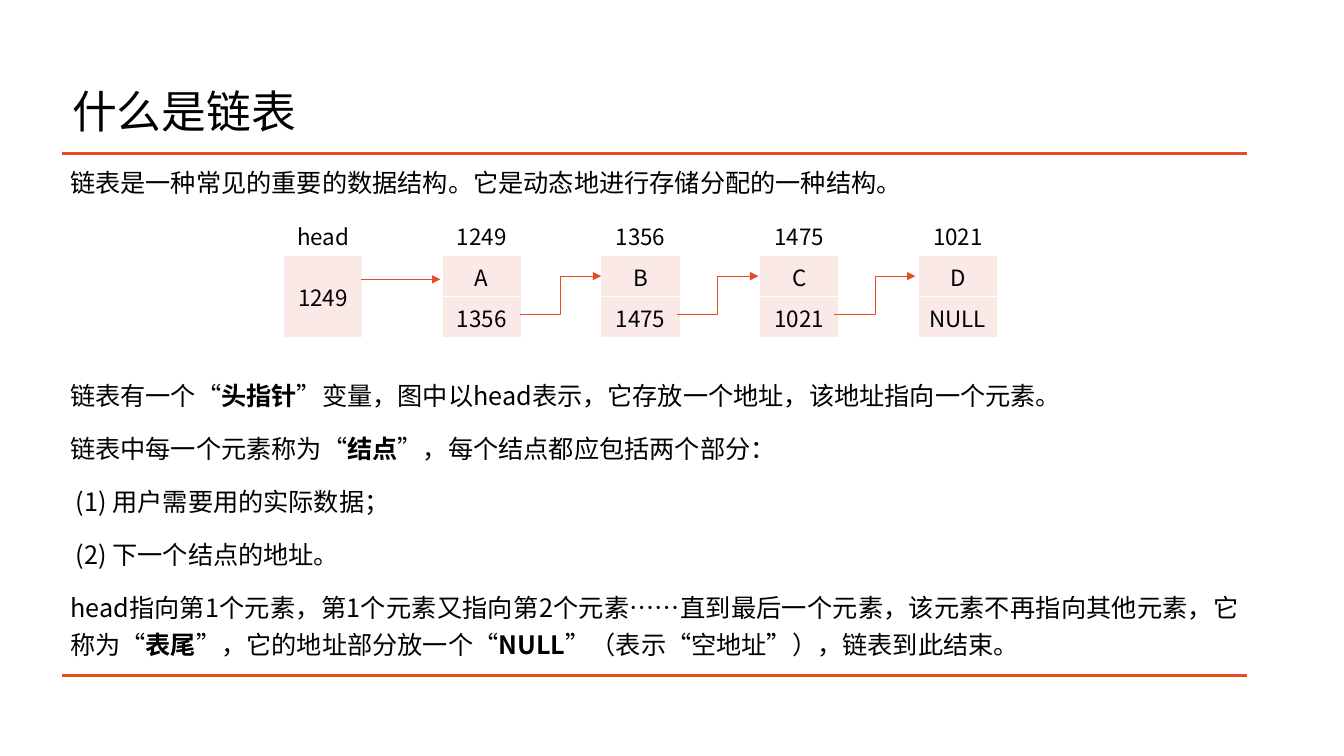
from lxml import etree
from pptx import Presentation
from pptx.dml.color import RGBColor
from pptx.enum import lang, shapes, text
from pptx.oxml import ns
from pptx.util import Cm, Pt

FONT = "Noto Sans CJK SC"
COLORS = {"text": "000000", "accent": "E84C22", "node": "FBE9E8", "background": "FFFFFF"}


def write(paragraph, content, size=18, align=text.PP_ALIGN.LEFT, line=1.0, before=0, after=0):
    """Fill a paragraph; parts between ** marks are bold."""
    paragraph.alignment = align
    paragraph.line_spacing = line
    paragraph.space_before, paragraph.space_after = Pt(before), Pt(after)
    for index, part in enumerate(content.split("**")):
        run = paragraph.add_run()
        run.text = part
        run.font.name, run.font.size = FONT, Pt(size)
        run.font.bold = index % 2 == 1
        run.font.color.rgb = RGBColor.from_string(COLORS["text"])
        run.font.language_id = lang.MSO_LANGUAGE_ID.SIMPLIFIED_CHINESE
        etree.SubElement(run.font._element, ns.qn("a:ea"), typeface=FONT)


def connect(kind, start, end, width, arrow=False):
    connector = slide.shapes.add_connector(kind, *map(Cm, start + end))
    connector.line.color.rgb = RGBColor.from_string(COLORS["accent"])
    connector.line.width = Pt(width)
    if arrow:
        etree.SubElement(connector.line._get_or_add_ln(), ns.qn("a:tailEnd"), type="triangle")
    etree.SubElement(connector._element.spPr, ns.qn("a:effectLst"))


presentation = Presentation()
presentation.slide_width, presentation.slide_height = Cm(33.87), Cm(19.05)
slide = presentation.slides.add_slide(presentation.slide_layouts[6])
slide.background.fill.solid()
slide.background.fill.fore_color.rgb = RGBColor.from_string(COLORS["background"])

# Title
title = slide.shapes.add_textbox(Cm(1.57), Cm(1.55), Cm(29.21), Cm(2.64)).text_frame
title.word_wrap = True
title.vertical_anchor = text.MSO_ANCHOR.MIDDLE
write(title.paragraphs[0], "什么是链表", size=32, line=0.9)

# Rules above and below the body
for y in (3.87, 17.03):
    connect(shapes.MSO_CONNECTOR.STRAIGHT, (1.57, y), (31.43, y), 2)

# Body: the second paragraph leaves room for the diagram, the numbered ones are indented
body = slide.shapes.add_textbox(Cm(1.57), Cm(3.87), Cm(29.86), Cm(13.16)).text_frame
body.word_wrap = True
body.margin_left = body.margin_right = body.margin_top = body.margin_bottom = Cm(0.2)
body_paragraphs = [
    ("链表是一种常见的重要的数据结构。它是动态地进行存储分配的一种结构。", 6, 0),
    ("链表有一个“**头指针**”变量，图中以head表示，它存放一个地址，该地址指向一个元素。", 120, 0),
    ("链表中每一个元素称为“**结点**”，每个结点都应包括两个部分：", 6, 0),
    ("(1) 用户需要用的实际数据；", 6, 0.14),
    ("(2) 下一个结点的地址。", 6, 0.14),
    ("head指向第1个元素，第1个元素又指向第2个元素……直到最后一个元素，该元素不再指向其他元素，"
     "它称为“**表尾**”，它的地址部分放一个“**NULL**”（表示“空地址”），链表到此结束。", 6, 0),
]
for index, (content, before, indent) in enumerate(body_paragraphs):
    paragraph = body.add_paragraph() if index else body.paragraphs[0]
    write(paragraph, content, align=text.PP_ALIGN.JUSTIFY, line=1.2, before=before, after=6)
    if indent:
        paragraph._p.get_or_add_pPr().set("marL", str(Cm(indent)))

# Linked list: one column per node, with an empty column between nodes
nodes = [("head", "1249", ""), ("1249", "A", "1356"), ("1356", "B", "1475"),
         ("1475", "C", "1021"), ("1021", "D", "NULL")]
table = slide.shapes.add_table(3, 9, Cm(7.14), Cm(5.41), Cm(18), Cm(3.09)).table
table.first_row = table.horz_banding = False
for column in table.columns:
    column.width = Cm(2)
for row in table.rows:
    row.height = Cm(1.03)
table.cell(1, 0).merge(table.cell(2, 0))

for column in range(9):
    for row in range(3):
        cell = table.cell(row, column)
        cell.vertical_anchor = text.MSO_ANCHOR.MIDDLE
        paragraph = cell.text_frame.paragraphs[0]
        content = "" if column % 2 else nodes[column // 2][row]
        if content:
            write(paragraph, content, size=16, align=text.PP_ALIGN.CENTER)
        else:
            paragraph._p.get_or_add_endParaRPr().set("sz", "1600")
        if row == 0 or column % 2:
            cell.fill.background()
            continue
        cell.fill.solid()
        cell.fill.fore_color.rgb = RGBColor.from_string(COLORS["node"])
        border = etree.Element(ns.qn("a:lnB"), w=str(Pt(1)))
        border_fill = etree.SubElement(border, ns.qn("a:solidFill"))
        etree.SubElement(border_fill, ns.qn("a:srgbClr"), val=COLORS["background"])
        cell._tc.get_or_add_tcPr().insert(0, border)

# Pointers from head to the first node, then from node to node
connect(shapes.MSO_CONNECTOR.STRAIGHT, (9.09, 7.04), (11.1, 7.04), 0.5, arrow=True)
for link in range(3):
    x = 13.11 + 3.96 * link
    connect(shapes.MSO_CONNECTOR.ELBOW, (x, 7.92), (x + 2.04, 6.96), 0.5, arrow=True)

presentation.save("out.pptx")
